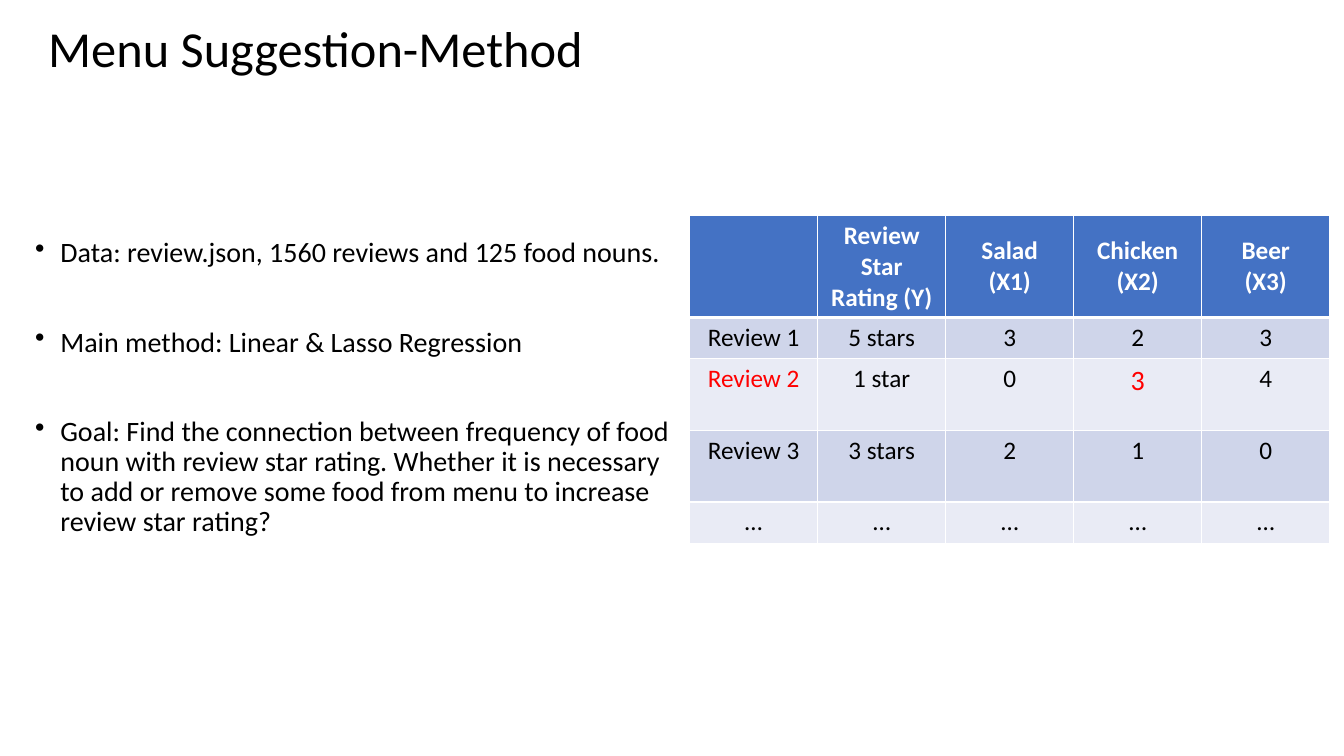
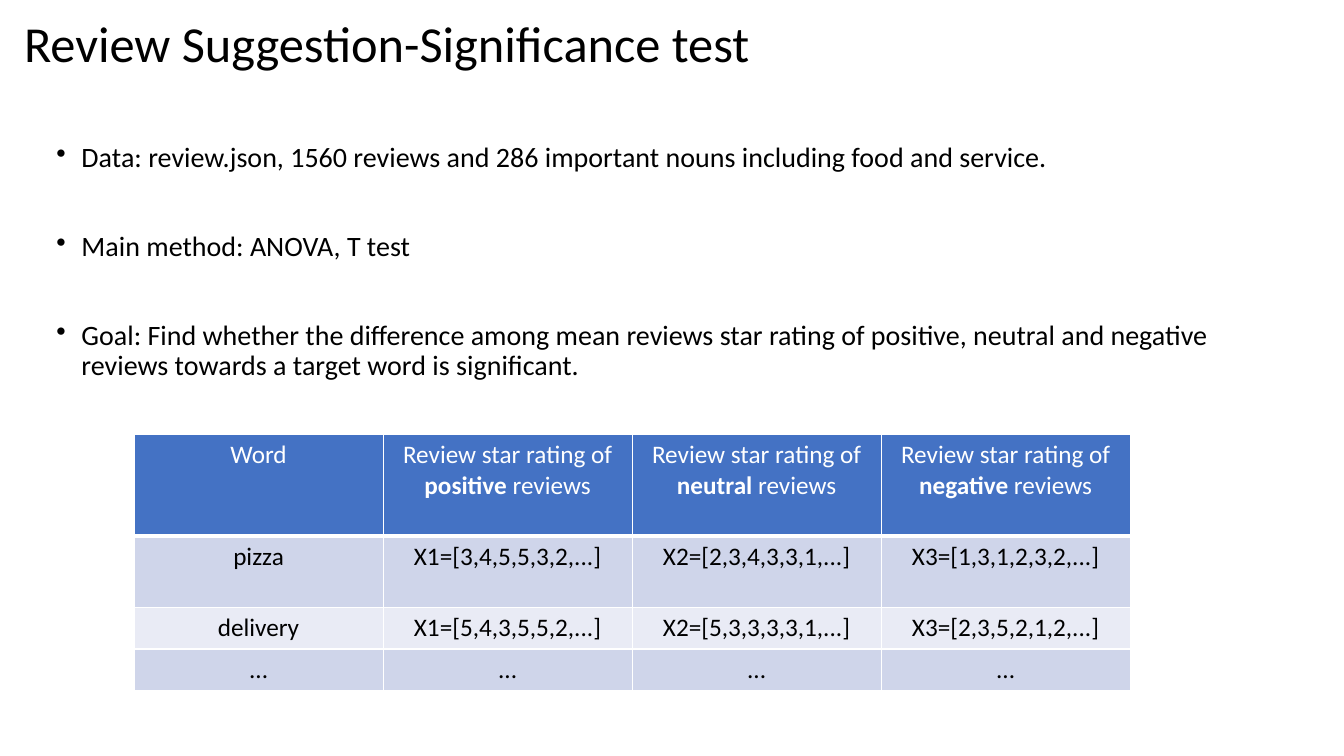
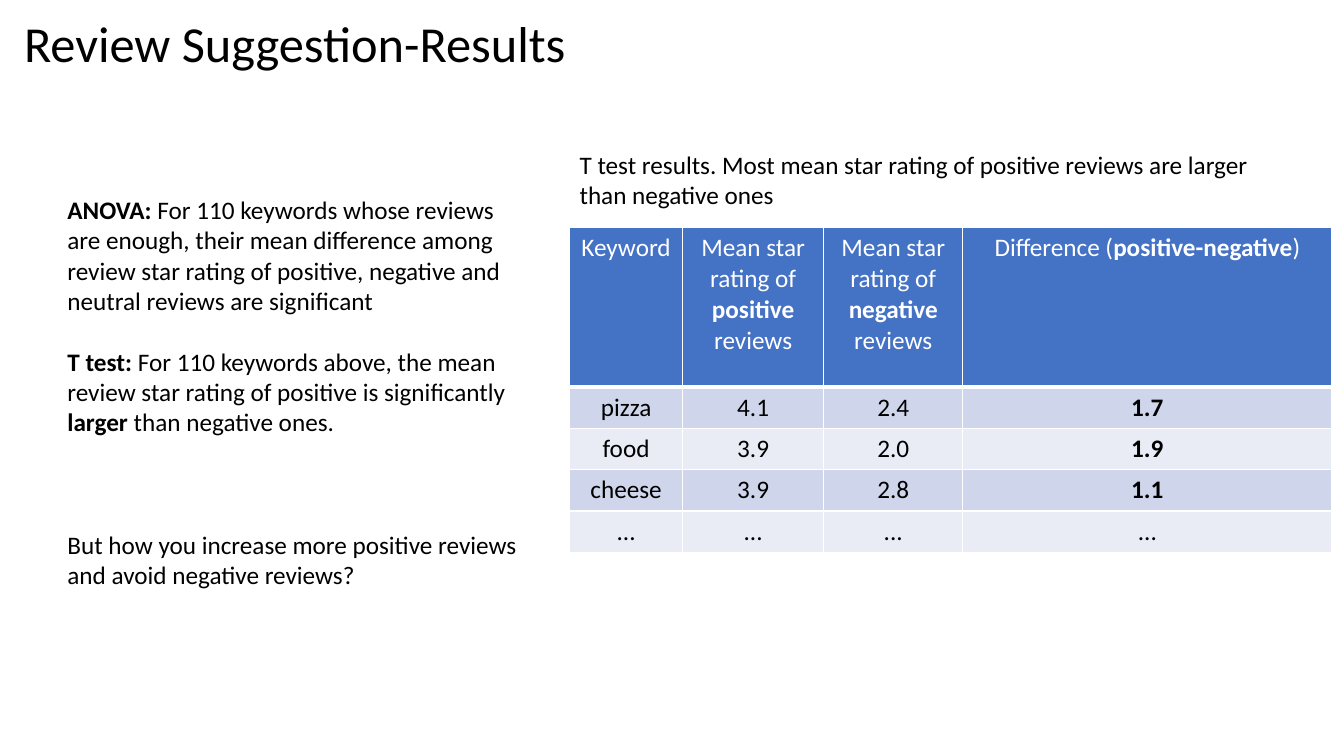
"""Build three slides on menu and review suggestions."""
import dataclasses
import typing

import lxml.etree
import pptx
import pptx.dml.color
import pptx.enum.text
import pptx.oxml.ns
import pptx.slide
import pptx.table
import pptx.text.text
import pptx.util

EMU_PER_PX = 9144
FONT = "Calibri"
BLACK, WHITE, RED = "000000", "FFFFFF", "FF0000"
HEADER_FILL = "4472C4"
BAND_FILLS = ("E9EBF5", "CFD5EA")
TITLE_SIZE, BULLET_SIZE, TEXT_SIZE = 36, 20, 18
ROW = 41
TOP = pptx.enum.text.MSO_ANCHOR.TOP
MIDDLE = pptx.enum.text.MSO_ANCHOR.MIDDLE


class Box(typing.NamedTuple):
    left: int
    top: int
    width: int
    height: int


class Style(typing.NamedTuple):
    size: int = TEXT_SIZE
    color: str = BLACK


class Item(typing.NamedTuple):
    text: str
    space_before: int = 0


@dataclasses.dataclass(frozen=True)
class TextBlock:
    box: Box
    items: tuple[Item, ...]
    style: Style = Style()
    line_spacing: float = 1.0
    bulleted: bool = False
    anchor: pptx.enum.text.MSO_ANCHOR = TOP


@dataclasses.dataclass(frozen=True)
class TableBlock:
    left: int
    top: int
    columns: tuple[int, ...]
    heights: tuple[int, ...]
    rows: tuple[tuple[str, ...], ...]
    header_anchor: pptx.enum.text.MSO_ANCHOR = TOP
    highlights: dict[tuple[int, int], Style] = dataclasses.field(default_factory=dict)


@dataclasses.dataclass(frozen=True)
class Page:
    title: TextBlock
    texts: tuple[TextBlock, ...]
    table: TableBlock


def px(value: int) -> pptx.util.Emu:
    return pptx.util.Emu(value * EMU_PER_PX)


def rgb(color: str) -> pptx.dml.color.RGBColor:
    return pptx.dml.color.RGBColor.from_string(color)


def add_runs(paragraph: pptx.text.text._Paragraph, text: str, style: Style) -> None:
    for index, part in enumerate(text.split("*")):
        if part:
            run = paragraph.add_run()
            run.text = part
            run.font.name = FONT
            run.font.size = pptx.util.Pt(style.size)
            run.font.bold = index % 2 == 1
            run.font.color.rgb = rgb(style.color)


def add_bullet(paragraph: pptx.text.text._Paragraph) -> None:
    properties = paragraph._p.get_or_add_pPr()
    properties.set("marL", str(px(25)))
    properties.set("indent", str(-px(25)))
    bullet = lxml.etree.SubElement(properties, pptx.oxml.ns.qn("a:buChar"))
    bullet.set("char", "•")


def add_text(slide: pptx.slide.Slide, block: TextBlock) -> None:
    frame = slide.shapes.add_textbox(*map(px, block.box)).text_frame
    frame.word_wrap = True
    frame.vertical_anchor = block.anchor
    for index, item in enumerate(block.items):
        paragraph = frame.add_paragraph() if index else frame.paragraphs[0]
        if block.bulleted:
            add_bullet(paragraph)
        paragraph.line_spacing = block.line_spacing
        paragraph.space_before = pptx.util.Pt(item.space_before)
        add_runs(paragraph, item.text, block.style)


def add_borders(cell: pptx.table._Cell, top: int, bottom: int) -> None:
    properties = cell._tc.get_or_add_tcPr()
    for side, width in (("L", 1), ("R", 1), ("T", top), ("B", bottom)):
        line = lxml.etree.SubElement(properties, pptx.oxml.ns.qn(f"a:ln{side}"))
        line.set("w", str(pptx.util.Pt(width)))
        fill = lxml.etree.SubElement(line, pptx.oxml.ns.qn("a:solidFill"))
        color = lxml.etree.SubElement(fill, pptx.oxml.ns.qn("a:srgbClr"))
        color.set("val", WHITE)


def fill_cell(cell: pptx.table._Cell, text: str, style: Style, row: int) -> None:
    add_borders(cell, top=3 if row == 1 else 1, bottom=3 if row == 0 else 1)
    cell.fill.solid()
    cell.fill.fore_color.rgb = rgb(BAND_FILLS[row % 2] if row else HEADER_FILL)
    frame = cell.text_frame
    for index, line in enumerate(text.split("\n")):
        paragraph = frame.add_paragraph() if index else frame.paragraphs[0]
        paragraph.alignment = pptx.enum.text.PP_ALIGN.CENTER
        add_runs(paragraph, line, style)


def add_table(slide: pptx.slide.Slide, block: TableBlock) -> None:
    box = Box(block.left, block.top, sum(block.columns), sum(block.heights))
    table = slide.shapes.add_table(
        len(block.heights), len(block.columns), *map(px, box)
    ).table
    table.first_row = True
    table.horz_banding = False
    for column, width in zip(table.columns, block.columns):
        column.width = px(width)
    for row, height in zip(table.rows, block.heights):
        row.height = px(height)
    for row_index, texts in enumerate(block.rows):
        default = Style() if row_index else Style(color=WHITE)
        for column_index, text in enumerate(texts):
            cell = table.cell(row_index, column_index)
            cell.vertical_anchor = TOP if row_index else block.header_anchor
            style = block.highlights.get((row_index, column_index), default)
            fill_cell(cell, text, style, row_index)


def title_block(text: str, left: int = 14, top: int = -27) -> TextBlock:
    return TextBlock(
        Box(left, top, 1150, 145), (Item(text),), Style(TITLE_SIZE), 0.9, anchor=MIDDLE
    )


def bullet_block(box: Box, *texts: str) -> TextBlock:
    items = tuple(Item(text, 42 if index else 0) for index, text in enumerate(texts))
    return TextBlock(box, items, Style(BULLET_SIZE), 0.9, bulleted=True)


PAGES = (
    Page(
        title_block("Menu Suggestion-Method", 38, -22),
        (
            bullet_block(
                Box(25, 232, 659, 476),
                "Data: review.json, 1560 reviews and 125 food nouns.",
                "Main method: Linear & Lasso Regression",
                "Goal: Find the connection between frequency of food noun with review "
                "star rating. Whether it is necessary to add or remove some food from "
                "menu to increase review star rating?",
            ),
        ),
        TableBlock(
            684,
            214,
            (127,) * 5,
            (101, ROW, 71, 71, ROW),
            (
                ("", "*Review Star Rating (Y)*", "*Salad*\n*(X1)*", "*Chicken (X2)*",
                 "*Beer*\n*(X3)*"),
                ("Review 1", "5 stars", "3", "2", "3"),
                ("Review 2", "1 star", "0", "3", "4"),
                ("Review 3", "3 stars", "2", "1", "0"),
                ("…",) * 5,
            ),
            MIDDLE,
            {(2, 0): Style(color=RED), (2, 3): Style(BULLET_SIZE, RED)},
        ),
    ),
    Page(
        title_block("Review Suggestion-Significance test"),
        (
            bullet_block(
                Box(46, 137, 1242, 476),
                "Data: review.json, 1560 reviews and 286 important nouns including food "
                "and service.",
                "Main method: ANOVA, T test",
                "Goal: Find whether the difference among mean reviews star rating of "
                "positive, neutral and negative reviews towards a target word is "
                "significant.",
            ),
        ),
        TableBlock(
            133,
            431,
            (247,) * 4,
            (101, 71, ROW, ROW),
            (
                ("Word",)
                + tuple(
                    f"Review star rating of *{mood} *reviews"
                    for mood in ("positive", "neutral", "negative")
                ),
                ("pizza", "X1=[3,4,5,5,3,2,...]", "X2=[2,3,4,3,3,1,...]",
                 "X3=[1,3,1,2,3,2,...]"),
                ("delivery", "X1=[5,4,3,5,5,2,...]", "X2=[5,3,3,3,3,1,...]",
                 "X3=[2,3,5,2,1,2,...]"),
                ("...",) * 4,
            ),
        ),
    ),
    Page(
        title_block("Review Suggestion-Results"),
        (
            TextBlock(
                Box(57, 188, 468, 404),
                (
                    Item("*ANOVA: *For 110 keywords whose reviews are enough, their mean "
                         "difference among review star rating of positive, negative and "
                         "neutral reviews are significant"),
                    Item("*T test: *For 110 keywords above, the mean review star rating "
                         "of positive is significantly *larger *than negative ones.", 22),
                    Item("But how you increase more positive reviews and avoid negative "
                         "reviews?", 66),
                ),
            ),
            TextBlock(
                Box(565, 143, 712, 71),
                (
                    Item("T test results. Most mean star rating of positive reviews are "
                         "larger than negative ones"),
                ),
            ),
        ),
        TableBlock(
            565,
            226,
            (112, 140, 138, 366),
            (158,) + (ROW,) * 4,
            (
                ("Keyword", "Mean star rating of *positive *reviews",
                 "Mean star rating of *negative *reviews",
                 "Difference (*positive-negative*)"),
                ("pizza", "4.1", "2.4", "*1.7*"),
                ("food", "3.9", "2.0", "*1.9*"),
                ("cheese", "3.9", "2.8", "*1.1*"),
                ("...",) * 4,
            ),
        ),
    ),
)


def main() -> None:
    presentation = pptx.Presentation()
    presentation.slide_width = px(1333)
    presentation.slide_height = px(750)
    for page in PAGES:
        slide = presentation.slides.add_slide(presentation.slide_layouts[6])
        for block in (page.title, *page.texts):
            add_text(slide, block)
        add_table(slide, page.table)
    presentation.save("out.pptx")


if __name__ == "__main__":
    main()
